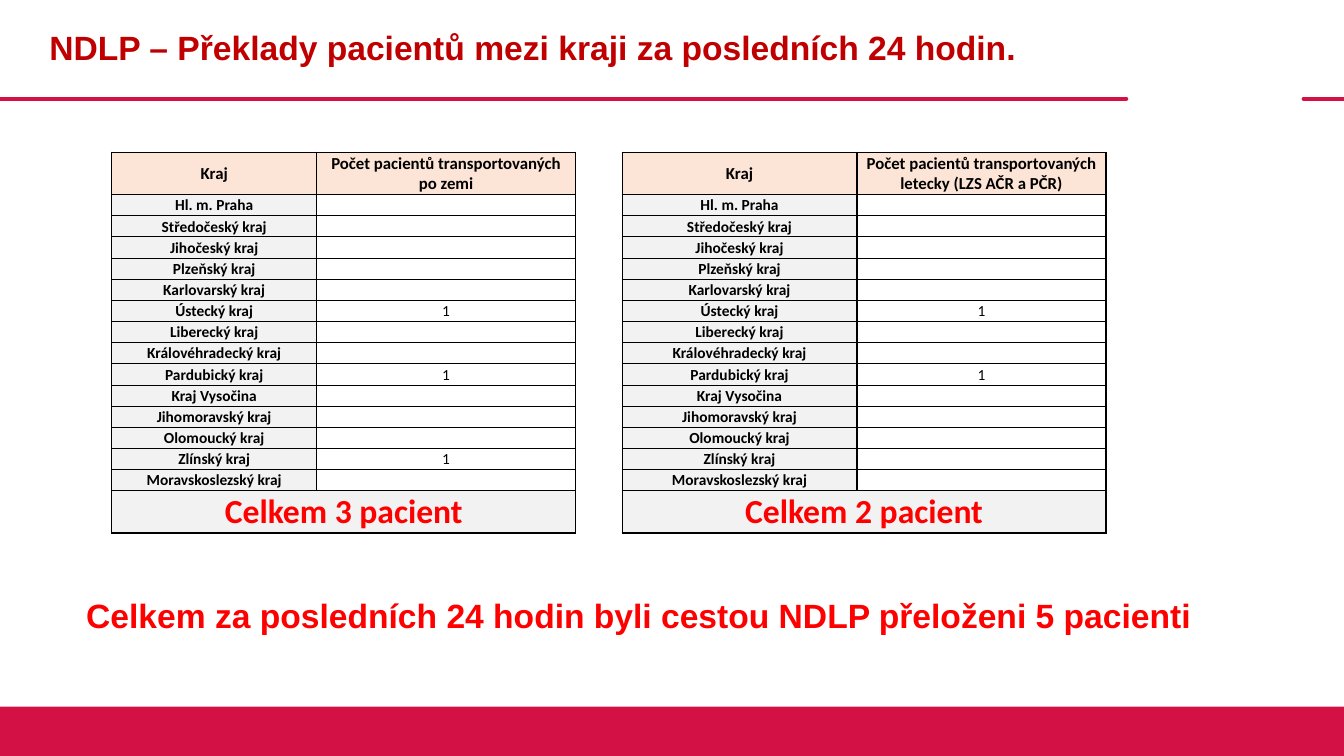
from dataclasses import dataclass

from lxml import etree
from pptx import Presentation
from pptx.dml.color import RGBColor
from pptx.enum.shapes import MSO_CONNECTOR, MSO_SHAPE
from pptx.enum.text import MSO_ANCHOR, PP_ALIGN
from pptx.oxml.ns import qn
from pptx.util import Inches, Pt

CENTER, LEFT = PP_ALIGN.CENTER, PP_ALIGN.LEFT
MIDDLE, TOP = MSO_ANCHOR.MIDDLE, MSO_ANCHOR.TOP
RECT, STRAIGHT = MSO_SHAPE.RECTANGLE, MSO_CONNECTOR.STRAIGHT
BRAND, BLACK, RED = "D31145", "000000", "FF0000"
PEACH, GRAY = "FCE4D6", "F2F2F2"
HEAD_H, ROW_H = 0.42, 0.21

REGIONS = [
    "Hl. m. Praha", "Středočeský kraj", "Jihočeský kraj", "Plzeňský kraj",
    "Karlovarský kraj", "Ústecký kraj", "Liberecký kraj",
    "Královéhradecký kraj", "Pardubický kraj", "Kraj Vysočina",
    "Jihomoravský kraj", "Olomoucký kraj", "Zlínský kraj",
    "Moravskoslezský kraj",
]


@dataclass
class Count:
    left: float
    widths: tuple[float, float]
    head: str
    values: dict[str, int]
    total: str


@dataclass
class Label:
    box: tuple[float, float, float, float]
    text: str
    color: str
    align: PP_ALIGN
    anchor: MSO_ANCHOR
    spacing: float


COUNTS = [
    Count(1.11, (2.03, 2.57), "Počet pacientů transportovaných\npo zemi",
          {"Ústecký kraj": 1, "Pardubický kraj": 1, "Zlínský kraj": 1},
          "Celkem 3 pacient"),
    Count(6.17, (2.33, 2.47),
          "Počet pacientů transportovaných letecky (LZS AČR a PČR)",
          {"Ústecký kraj": 1, "Pardubický kraj": 1}, "Celkem 2 pacient"),
]
LABELS = [
    Label((0.39, 0, 10.81, 0.98),
          "NDLP – Překlady pacientů mezi kraji za posledních 24 hodin.",
          "C00000", LEFT, MIDDLE, 0.9),
    Label((0.51, 5.85, 11.65, 0.5),
          "Celkem za posledních 24 hodin byli cestou NDLP přeloženi 5 pacienti",
          RED, CENTER, TOP, 1.0),
]


def rgb(code: str) -> RGBColor:
    return RGBColor.from_string(code)


def style(para, face: str, size: float, color: str, bold: bool, align) -> None:
    para.alignment = align
    font = para.font
    font.name, font.size, font.bold = face, Pt(size), bold
    font.color.rgb = rgb(color)


def add_rule(slide, start: float, end: float) -> None:
    rule = slide.shapes.add_connector(
        STRAIGHT, Inches(start), Inches(0.98), Inches(end), Inches(0.98))
    rule.line.color.rgb = rgb(BRAND)
    rule.line.width = Pt(3)
    props = rule._element.spPr
    props.find(qn("a:ln")).set("cap", "rnd")
    etree.SubElement(props, qn("a:effectLst"))


def add_footer(slide) -> None:
    bar = slide.shapes.add_shape(
        RECT, 0, Inches(7.01), Inches(13.33), Inches(0.49))
    bar.shadow.inherit = False
    bar.fill.solid()
    bar.fill.fore_color.rgb = rgb(BRAND)
    bar.line.fill.background()


def add_label(slide, label: Label) -> None:
    frame = slide.shapes.add_textbox(*map(Inches, label.box)).text_frame
    frame.word_wrap = True
    frame.vertical_anchor = label.anchor
    para = frame.paragraphs[0]
    para.text = label.text
    para.line_spacing = label.spacing
    style(para, "Arial", 24, label.color, True, label.align)


def add_border(cell, top: float, bottom: float) -> None:
    props = cell._tc.get_or_add_tcPr()
    for side, width in (("L", 1), ("R", 1), ("T", top), ("B", bottom)):
        line = etree.SubElement(props, qn(f"a:ln{side}"), w=str(Pt(width)))
        fill = etree.SubElement(line, qn("a:solidFill"))
        etree.SubElement(fill, qn("a:srgbClr"), val=BLACK)


def fill_cell(cell, text: str, size: float = 11, color: str = BLACK,
              bold: bool = True, fill: str = "", top: float = 0.5,
              bottom: float = 0.5) -> None:
    cell.margin_left = cell.margin_right = cell.margin_top = Inches(0.01)
    cell.margin_bottom = 0
    cell.vertical_anchor = MIDDLE
    cell.text = text
    for para in cell.text_frame.paragraphs:
        style(para, "Calibri", size, color, bold, CENTER)
        if not text:
            # An empty line takes its height from its end mark
            para._p.get_or_add_endParaRPr().set("sz", str(size * 100))
    add_border(cell, top, bottom)
    if fill:
        cell.fill.solid()
        cell.fill.fore_color.rgb = rgb(fill)
    else:
        cell.fill.background()


def add_count(slide, count: Count) -> None:
    """Add one table of transfers by region."""
    last = len(REGIONS) + 1
    heights = [HEAD_H] + [ROW_H] * len(REGIONS) + [HEAD_H]
    table = slide.shapes.add_table(
        last + 1, 2, Inches(count.left), Inches(1.51),
        Inches(sum(count.widths)), Inches(sum(heights))).table
    table.first_row = table.horz_banding = False
    for col, width in zip(table.columns, count.widths):
        col.width = Inches(width)
    for row, height in zip(table.rows, heights):
        row.height = Inches(height)

    for col, text in enumerate(("Kraj", count.head)):
        fill_cell(table.cell(0, col), text, size=12, fill=PEACH, top=1)
    for row, region in enumerate(REGIONS, 1):
        fill_cell(table.cell(row, 0), region, fill=GRAY)
        value = str(count.values.get(region, ""))
        fill_cell(table.cell(row, 1), value, bold=False)
    table.cell(last, 0).merge(table.cell(last, 1))
    fill_cell(table.cell(last, 0), count.total, size=24, color=RED,
              fill=GRAY, bottom=1)
    fill_cell(table.cell(last, 1), "", fill=GRAY, bottom=1)


def main() -> None:
    deck = Presentation()
    deck.slide_width, deck.slide_height = Inches(13.33), Inches(7.5)
    slide = deck.slides.add_slide(deck.slide_layouts[6])
    add_rule(slide, 0, 11.17)
    add_rule(slide, 12.93, 13.33)
    add_footer(slide)
    title, summary = LABELS
    add_label(slide, title)
    for count in COUNTS:
        add_count(slide, count)
    add_label(slide, summary)
    deck.save("out.pptx")


if __name__ == "__main__":
    main()
